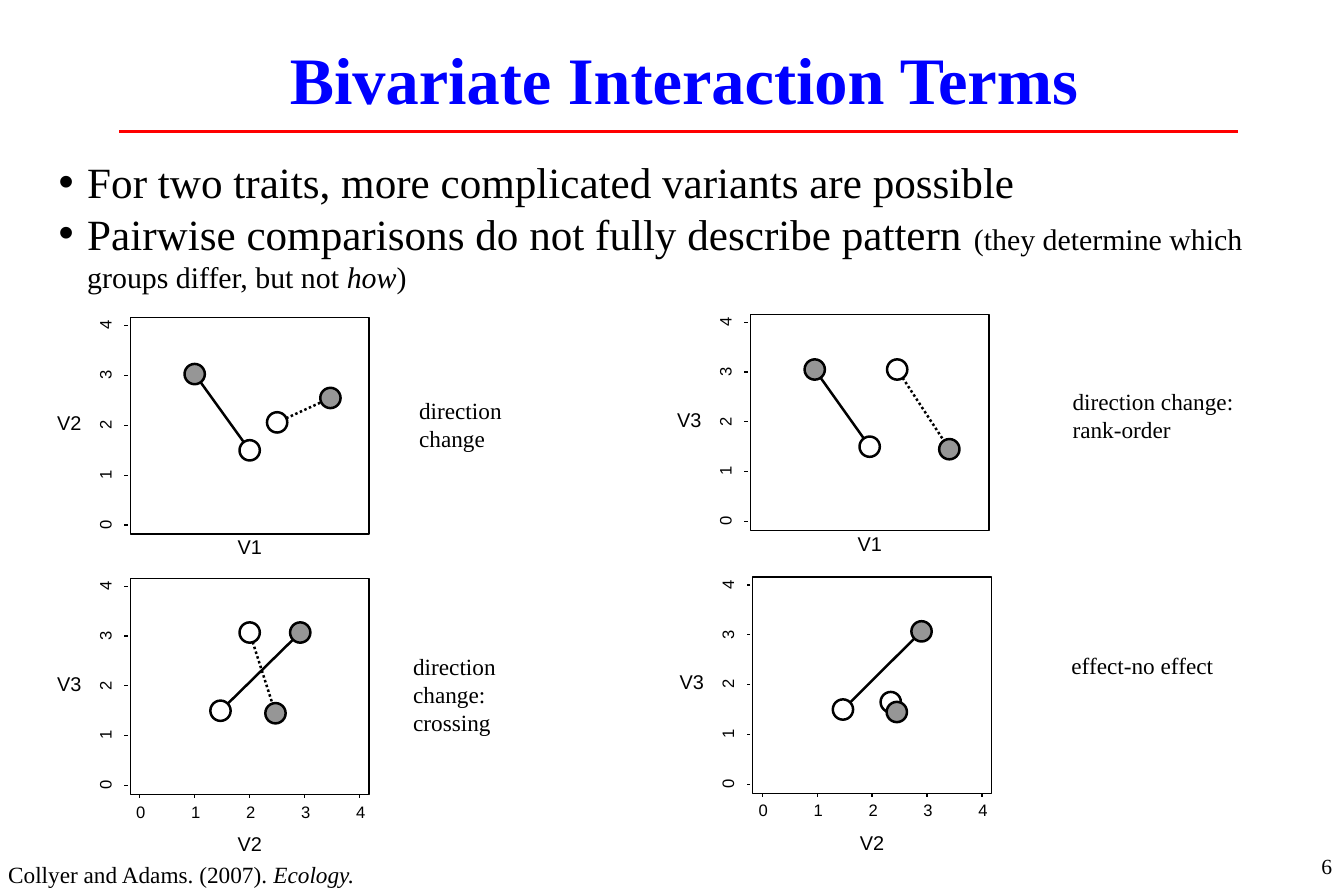
from lxml.etree import SubElement
from pptx import Presentation
from pptx.dml.color import RGBColor
from pptx.enum.dml import MSO_LINE
from pptx.enum.shapes import MSO_CONNECTOR, MSO_SHAPE
from pptx.enum.text import MSO_ANCHOR, MSO_AUTO_SIZE, PP_ALIGN
from pptx.oxml.ns import qn
from pptx.util import Inches, Pt

COLORS = {"title": "0000FF", "rule": "FF0000", "ink": "000000",
          "open": "FFFFFF", "filled": "969696"}
SERIF, SANS = "Times New Roman", "Arial"
TITLE = {"name": SERIF, "size": Pt(40), "bold": True}
BULLET = {"name": SERIF, "size": Pt(26)}
CAPTION = {"name": SERIF, "size": Pt(14)}
NUMBER = {"name": SERIF, "size": Pt(13)}
AXIS = {"name": SANS, "size": Pt(12)}
TICK = {"name": SANS, "size": Pt(10)}

deck = Presentation()
deck.slide_width, deck.slide_height = Inches(11.25), Inches(7.5)
page = deck.slides.add_slide(deck.slide_layouts[1])


def write(box, place, paragraphs, style, color="ink", align=PP_ALIGN.LEFT, inset=True):
    """Place a box and fill it with paragraphs made of (text, format changes) spans."""
    box.left, box.top, box.width, box.height = [Inches(n) for n in place]
    frame = box.text_frame
    frame.word_wrap = True
    frame.auto_size = MSO_AUTO_SIZE.NONE
    frame.margin_left = frame.margin_right = Inches(0.1 if inset else 0)
    frame.margin_top = frame.margin_bottom = Inches(0.05 if inset else 0)
    for number, spans in enumerate(paragraphs):
        para = frame.add_paragraph() if number else frame.paragraphs[0]
        para.alignment = align
        para.space_before = Pt(0)
        for text, changes in spans:
            span = para.add_run()
            span.text = text
            span.font.color.rgb = RGBColor.from_string(COLORS[color])
            for attribute, value in {**style, **changes}.items():
                setattr(span.font, attribute, value)
    return box


def add_line(start, end, width, color="ink", dash=None):
    line = page.shapes.add_connector(
        MSO_CONNECTOR.STRAIGHT, *[Inches(n) for n in (*start, *end)])
    line.line.width = Pt(width)
    line.line.color.rgb = RGBColor.from_string(COLORS[color])
    if dash:
        line.line.dash_style = dash
    SubElement(line._element.spPr, qn("a:effectLst"))


# Title and rule
title = write(page.shapes.title, (0.2, 0.11, 11.05, 1.25),
              [[("Bivariate Interaction Terms", {})]], TITLE, "title", PP_ALIGN.CENTER)
title.text_frame.vertical_anchor = MSO_ANCHOR.MIDDLE
title.text_frame.paragraphs[0].line_spacing = 0.7
add_line((1, 1.1), (10.36, 1.1), 1.5, "rule")

# Bullets
small = {"size": Pt(18)}
body = write(page.placeholders[1], (0.39, 1.25, 10.55, 1.27), [
    [("For two traits, more complicated variants are possible", {})],
    [("Pairwise comparisons do not fully describe pattern ", {}),
     ("(they determine which groups differ, but not ", small),
     ("how", {**small, "italic": True}), (")", small)],
], BULLET)
for para in body.text_frame.paragraphs:
    properties = para._p.get_or_add_pPr()
    properties.set("marL", str(Inches(0.24)))
    properties.set("indent", str(-Inches(0.24)))

# Scatter panels: corner, axis names, x ticks shown, and point pairs (open, filled)
PANELS = [
    (1.09, 2.66, "V1", "V2", False, [((2, 1.5), (1, 3.03)), ((2.5, 2.06), (3.47, 2.55))]),
    (6.28, 2.63, "V1", "V3", False, [((2, 1.5), (1, 3.05)), ((2.5, 3.05), (3.45, 1.45))]),
    (1.09, 4.84, "V2", "V3", True, [((1.47, 1.5), (2.92, 3.07)), ((2, 3.07), (2.47, 1.45))]),
    (6.3, 4.83, "V2", "V3", True, [((1.47, 1.5), (2.9, 3.07)), ((2.34, 1.65), (2.45, 1.45))]),
]
PLOT_WIDTH, PLOT_HEIGHT, MARKER = 2, 1.81, 0.17
X_STEP, Y_STEP = 0.46, 0.417
labels = []
for left, top, x_name, y_name, has_x_ticks, pairs in PANELS:
    x_zero, y_zero = left + 0.08, top + 1.735
    bottom = top + PLOT_HEIGHT

    plot = page.shapes.add_shape(MSO_SHAPE.RECTANGLE, Inches(left), Inches(top),
                                 Inches(PLOT_WIDTH), Inches(PLOT_HEIGHT))
    plot.shadow.inherit = False
    plot.fill.background()
    plot.line.width = Pt(0.75)
    plot.line.color.rgb = RGBColor.from_string(COLORS["ink"])

    # Ticks and axis names
    for value in range(5):
        x, y = x_zero + value * X_STEP, y_zero - value * Y_STEP
        add_line((left - 0.02, y), (left - 0.05, y), 0.75)
        labels.append((str(value), (left - 0.25, y - 0.09, 0.08, 0.17), TICK, 270))
        if has_x_ticks:
            add_line((x, bottom), (x, bottom + 0.03), 0.75)
            labels.append((str(value), (x - 0.03, top + 1.87, 0.08, 0.17), TICK, 0))
    labels.append((y_name, (left - 0.71, top + 0.73, 0.42, 0.3), AXIS, 0))
    x_name_top = top + (2.07 if has_x_ticks else 1.77)
    labels.append((x_name, (left + 0.8, x_name_top, 0.42, 0.3), AXIS, 0))

    # Joined points, the second pair dotted
    for pair, dash in zip(pairs, (None, MSO_LINE.ROUND_DOT)):
        centers = [(x_zero + x * X_STEP, y_zero - y * Y_STEP) for x, y in pair]
        add_line(*centers, 1.5, dash=dash)
        for (x, y), fill in zip(centers, ("open", "filled")):
            marker = page.shapes.add_shape(
                MSO_SHAPE.OVAL, Inches(x - MARKER / 2), Inches(y - MARKER / 2),
                Inches(MARKER), Inches(MARKER))
            marker.shadow.inherit = False
            marker.fill.solid()
            marker.fill.fore_color.rgb = RGBColor.from_string(COLORS[fill])
            marker.line.width = Pt(1.5)
            marker.line.color.rgb = RGBColor.from_string(COLORS["ink"])

for text, place, style, rotation in labels:
    box = write(page.shapes.add_textbox(0, 0, 0, 0), place, [[(text, {})]], style,
                inset=style is AXIS)
    box.text_frame.word_wrap = False
    box.rotation = rotation

# Panel captions
for place, lines in [
    ((3.41, 3.27, 1.4, 0.57), ["direction change"]),
    ((8.88, 3.19, 1.6, 0.57), ["direction change:", "rank-order"]),
    ((3.36, 5.41, 1.4, 0.8), ["direction change:", "crossing"]),
    ((8.87, 5.4, 1.6, 0.33), ["effect-no effect"]),
]:
    write(page.shapes.add_textbox(0, 0, 0, 0), place,
          [[(line, {})] for line in lines], CAPTION)

# Citation and page number
write(page.shapes.add_textbox(0, 0, 0, 0), (-0.03, 7.15, 3.4, 0.33),
      [[("Collyer and Adams. (2007). ", {}), ("Ecology.", {"italic": True})]], CAPTION)
number_box = write(page.shapes.add_textbox(0, 0, 0, 0), (8.91, 7, 2.34, 0.5),
                   [[("6", {})]], NUMBER, align=PP_ALIGN.RIGHT)
number_box.text_frame.vertical_anchor = MSO_ANCHOR.MIDDLE

deck.save("out.pptx")
